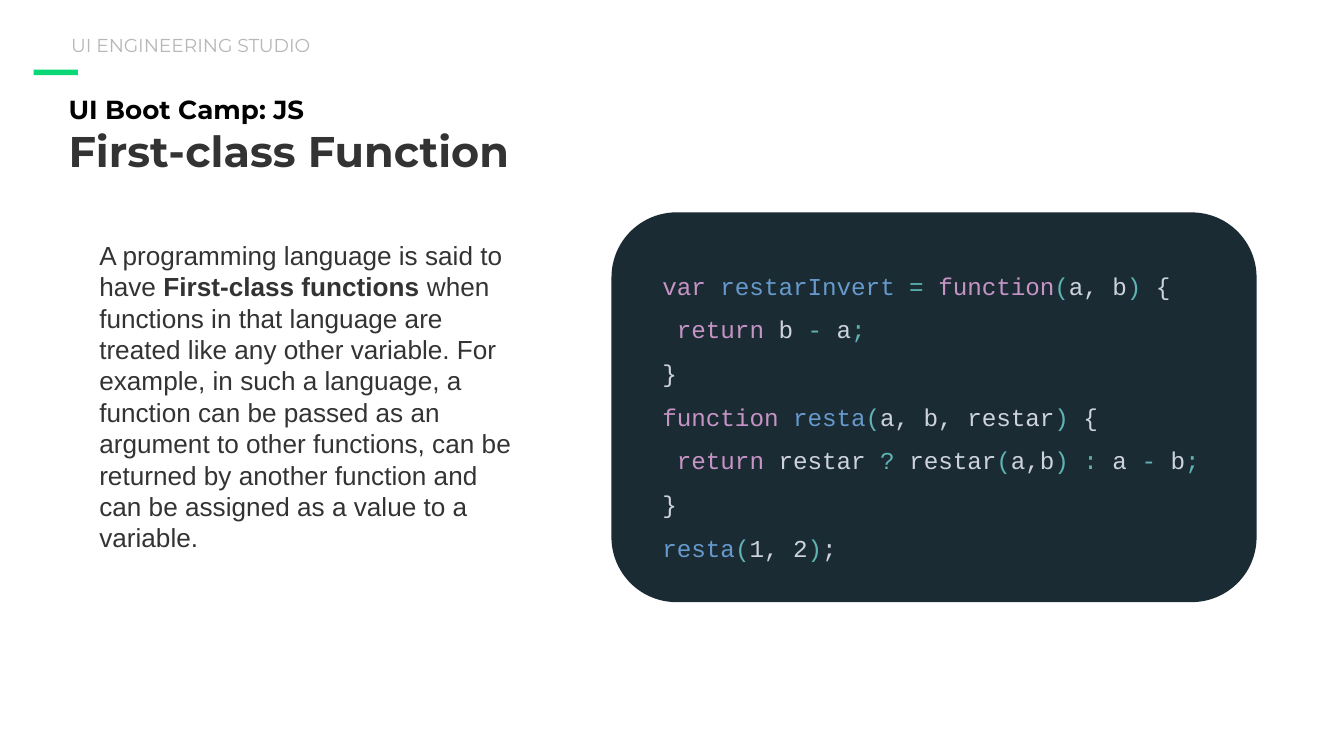
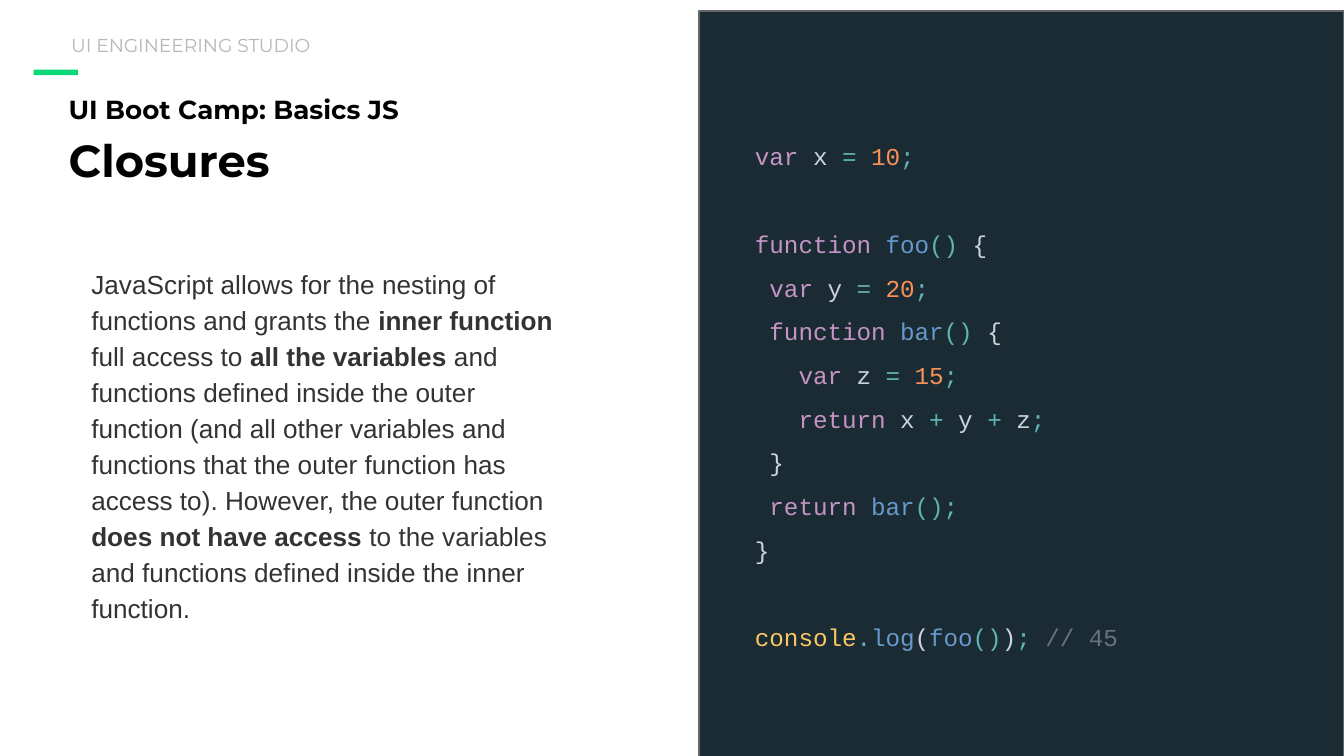
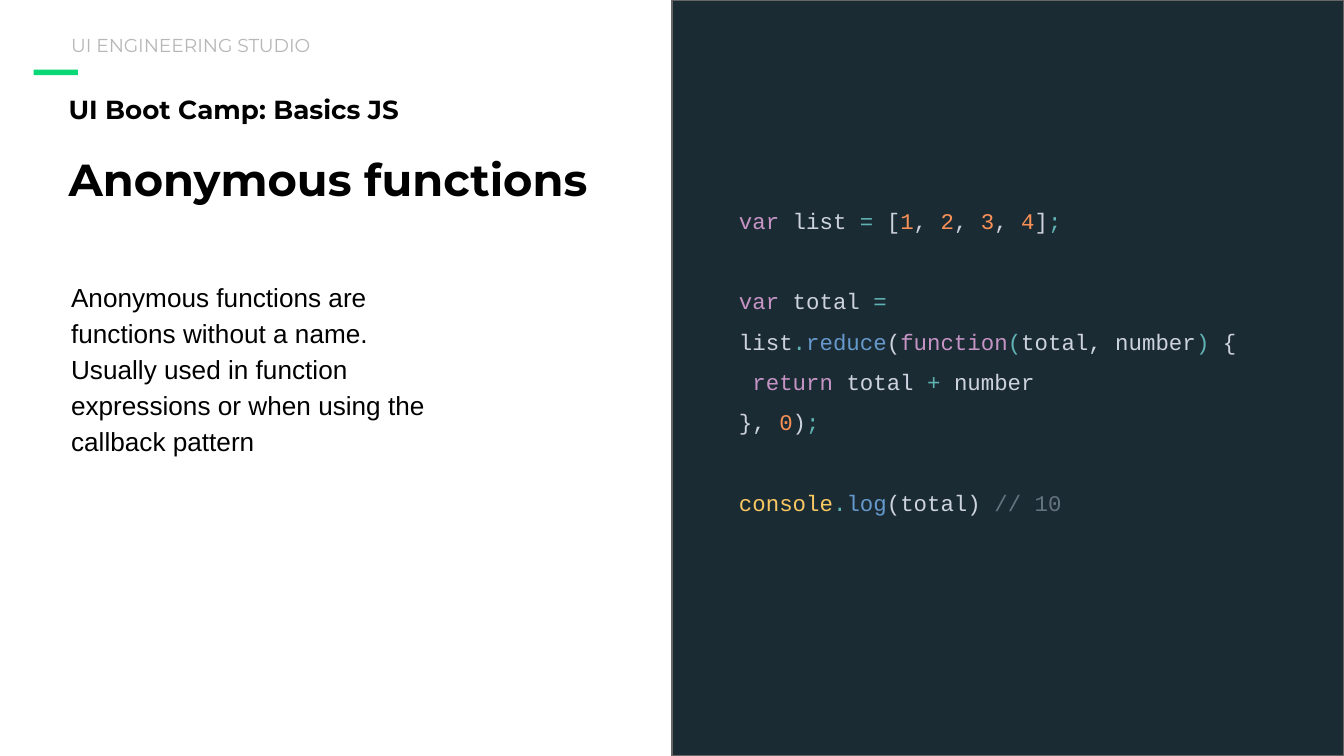
from pptx import Presentation
from pptx.dml.color import RGBColor
from pptx.enum.shapes import MSO_SHAPE
from pptx.enum.text import MSO_ANCHOR, MSO_AUTO_SIZE, PP_ALIGN
from pptx.util import Pt

RECTANGLE = MSO_SHAPE.RECTANGLE
ROUNDED = MSO_SHAPE.ROUNDED_RECTANGLE
TOP, MIDDLE = MSO_ANCHOR.TOP, MSO_ANCHOR.MIDDLE
NO_AUTOFIT = MSO_AUTO_SIZE.NONE
LEFT = PP_ALIGN.LEFT
TITLE_ONLY = 5

COLORS = {
    "black": "000000",
    "text": "333333",
    "header": "B7B7B7",
    "accent": "0AD876",
    "panel": "1B2B34",
    "border": "666666",
    "keyword": "C594C5",
    "name": "6699CC",
    "sign": "5FB3B3",
    "plain": "CDD3DE",
    "number": "F99157",
    "object": "FAC863",
    "comment": "65737E",
}
HEADING_FONT, BODY_FONT, CODE_FONT = "Montserrat", "Arial", "Courier New"
INSET = 7.2
CODE_SPACING = 1.5
CODE_PITCH = 1.8


def rgb(color):
    return RGBColor.from_string(COLORS[color])


def write_line(para, spans, font, size, color, bold=False, spacing=1.15, before=0):
    para.alignment = LEFT
    para.line_spacing = spacing
    para.space_before = Pt(before)
    for text, changes in spans:
        style = {"color": color, "bold": bold, **changes}
        span = para.add_run()
        span.text = text
        span.font.name = font
        span.font.size = Pt(size)
        span.font.bold = style["bold"]
        span.font.color.rgb = rgb(style["color"])


def set_frame(box, anchor=TOP, bottom=INSET):
    frame = box.text_frame
    frame.word_wrap = True
    frame.auto_size = NO_AUTOFIT
    frame.vertical_anchor = anchor
    frame.margin_left = frame.margin_top = frame.margin_right = Pt(INSET)
    frame.margin_bottom = Pt(bottom)
    return frame


def add_box(page, place, **frame_format):
    box = page.shapes.add_textbox(*map(Pt, place))
    return set_frame(box, **frame_format)


def add_panel(page, place, color, kind=RECTANGLE, border=None):
    panel = page.shapes.add_shape(kind, *map(Pt, place))
    panel.shadow.inherit = False
    panel.fill.solid()
    panel.fill.fore_color.rgb = rgb(color)
    if border:
        panel.line.color.rgb = rgb(border)
        panel.line.width = Pt(0.75)
    else:
        panel.line.fill.background()


def add_page(deck, course, topic, **topic_format):
    page = deck.slides.add_slide(deck.slide_layouts[TITLE_ONLY])
    title = page.shapes.title
    title.left, title.top, title.width, title.height = map(Pt, (29.5, 40.3, 330.5, 68.4))
    frame = set_frame(title)
    write_line(frame.paragraphs[0], [(course, {})], HEADING_FONT, 14, "black", bold=True)
    topic_style = {"size": 24, "color": "black", **topic_format}
    write_line(frame.add_paragraph(), [(topic, {})], HEADING_FONT, bold=True, **topic_style)

    add_panel(page, (18, 37.4, 23.8, 2.9), "accent")
    header = add_box(page, (31, 13.7, 272.2, 18.7), anchor=MIDDLE)
    write_line(header.paragraphs[0], [("UI ENGINEERING STUDIO", {})], HEADING_FONT, 10, "header")
    return page


def add_body(page, place, spans, color="text", spacing=1.15):
    frame = add_box(page, place)
    styled = [(text, {"bold": bold}) for text, bold in spans]
    write_line(frame.paragraphs[0], styled, BODY_FONT, 14, color, spacing=spacing)


def add_code(page, place, lines, size=13, lines_below=0):
    pitch = size * CODE_PITCH
    frame = add_box(page, place, anchor=MIDDLE, bottom=INSET + lines_below * pitch)
    para, before = frame.paragraphs[0], 0
    for line in lines:
        if not line:
            before = pitch
            continue
        para = para or frame.add_paragraph()
        spans = [(text, {"color": role}) for text, role in line]
        write_line(para, spans, CODE_FONT, size, "plain", spacing=CODE_SPACING, before=before)
        para, before = None, 0


def first_class_page(deck):
    page = add_page(deck, "UI Boot Camp: JS", "First-class Function",
                    size=23, color="text", spacing=1.0)
    add_body(page, (46.1, 121, 236.2, 221), [
        ("A programming language is said to have ", False),
        ("First-class functions", True),
        (" when functions in that language are treated like any other variable. "
         "For example, in such a language, a function can be passed as an argument "
         "to other functions, can be returned by another function and can be "
         "assigned as a value to a variable.", False),
    ], spacing=1.0)
    add_panel(page, (327.6, 113.8, 345.6, 208.8), "panel", kind=ROUNDED)
    add_code(page, (347.8, 126, 319, 186.5), [
        [("var ", "keyword"), ("restarInvert ", "name"), ("= ", "sign"),
         ("function", "keyword"), ("(", "sign"), ("a, b", "plain"), (")", "sign"),
         (" {", "plain")],
        [(" return", "keyword"), (" b", "plain"), (" -", "sign"), (" a", "plain"),
         (";", "sign")],
        [("}", "plain")],
        [("function ", "keyword"), ("resta", "name"), ("(", "sign"),
         ("a, b, restar", "plain"), (")", "sign"), (" {", "plain")],
        [(" return ", "keyword"), ("restar ", "plain"), ("? ", "sign"),
         ("restar", "plain"), ("(", "sign"), ("a,b", "plain"), (") :", "sign"),
         (" a", "plain"), (" -", "sign"), (" b", "plain"), (";", "sign")],
        [("}", "plain")],
        [("resta", "name"), ("(", "sign"), ("1, 2", "plain"), (")", "sign"),
         (";", "plain")],
    ])


def closures_page(deck):
    page = add_page(deck, "UI Boot Camp: Basics JS", "Closures")
    add_panel(page, (374.4, 5.8, 345.6, 404.6), "panel", border="border")
    add_body(page, (41.8, 133.9, 272.2, 209.5), [
        ("JavaScript allows for the nesting of functions and grants the", False),
        (" inner function", True),
        (" full access to ", False),
        ("all the variables", True),
        (" and functions defined inside the outer function (and all other variables "
         "and functions that the outer function has access to). However, the outer "
         "function ", False),
        ("does not have access ", True),
        ("to the variables and functions defined inside the inner function.", False),
    ])
    add_code(page, (397.4, 75.6, 285.8, 289.4), [
        [("var", "keyword"), (" x", "plain"), (" = ", "sign"), ("10", "number"),
         (";", "sign")],
        [],
        [("function ", "keyword"), ("foo", "name"), ("()", "sign"), (" {", "plain")],
        [(" var", "keyword"), (" y", "plain"), (" = ", "sign"), ("20", "number"),
         (";", "sign")],
        [(" function ", "keyword"), ("bar", "name"), ("()", "sign"), (" {", "plain")],
        [("   var", "keyword"), (" z", "plain"), (" = ", "sign"), ("15", "number"),
         (";", "sign")],
        [("   return", "keyword"), (" x", "plain"), (" +", "sign"), (" y", "plain"),
         (" +", "sign"), (" z", "plain"), (";", "sign")],
        [(" }", "plain")],
        [(" return", "keyword"), (" bar", "name"), ("();", "sign")],
        [("}", "plain")],
        [],
        [("console", "object"), (".", "sign"), ("log", "name"), ("(", "plain"),
         ("foo", "name"), ("()", "sign"), (")", "plain"), (";", "sign"),
         (" // 45", "comment")],
    ], lines_below=1)


def anonymous_page(deck):
    page = add_page(deck, "UI Boot Camp: Basics JS", "Anonymous functions", before=10)
    add_panel(page, (360, 0, 360, 405), "panel", border="border")
    add_body(page, (31, 141.1, 216, 128.2), [
        ("Anonymous functions are functions without a name. Usually used in function "
         "expressions or when using the callback pattern", False),
    ], color="black")
    add_code(page, (388.8, 97.9, 303.1, 227.5), [
        [("var", "keyword"), (" list", "plain"), (" =", "sign"), (" [", "plain"),
         ("1", "number"), (", ", "plain"), ("2", "number"), (", ", "plain"),
         ("3", "number"), (", ", "plain"), ("4", "number"), ("]", "plain"),
         (";", "sign")],
        [],
        [("var", "keyword"), (" total", "plain"), (" =", "sign")],
        [("list", "plain"), (".", "sign"), ("reduce", "name"), ("(", "plain"),
         ("function", "keyword"), ("(", "sign"), ("total, number", "plain"),
         (") ", "sign"), ("{", "plain")],
        [(" return ", "keyword"), ("total", "plain"), (" +", "sign"),
         (" number", "plain")],
        [("}, ", "plain"), ("0", "number"), (")", "plain"), (";", "sign")],
        [],
        [("console", "object"), (".", "sign"), ("log", "name"), ("(total)", "plain"),
         (" // 10", "comment")],
    ], size=12, lines_below=2)


def main():
    deck = Presentation()
    deck.slide_width, deck.slide_height = Pt(720), Pt(405)
    first_class_page(deck)
    closures_page(deck)
    anonymous_page(deck)
    deck.save("out.pptx")


if __name__ == "__main__":
    main()
